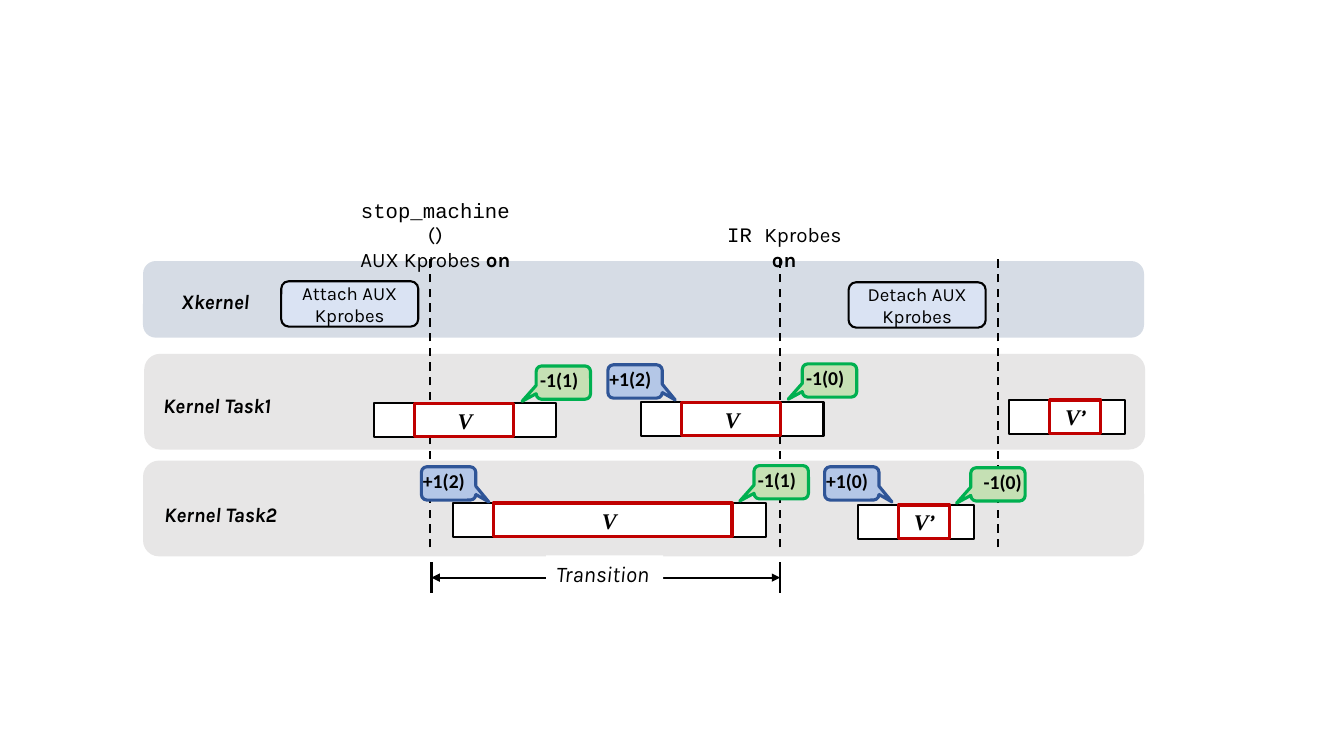
"""Draw the timeline of a kernel transition across two kernel tasks."""
from dataclasses import dataclass

from lxml.etree import SubElement
from pptx import Presentation
from pptx.dml.color import RGBColor
from pptx.enum.dml import MSO_LINE
from pptx.enum.shapes import MSO_CONNECTOR, MSO_SHAPE
from pptx.enum.text import MSO_ANCHOR, PP_ALIGN
from pptx.oxml.ns import qn
from pptx.util import Pt

BLACK, WHITE, RED = "000000", "FFFFFF", "C00000"
GREY, PALE_BLUE, BUTTON_BLUE = "E7E6E6", "D6DCE5", "DAE3F3"

BODY = {"name": "Karla", "size": Pt(14.7)}
BOLD = {**BODY, "bold": True}
CODE = {**BODY, "name": "Courier New"}
TITLE = {**BOLD, "italic": True}
BUTTON = {"name": "Karla", "size": Pt(13.3)}
COUNT = {"name": "Calibri", "size": Pt(14), "bold": True}
VERSION = {"name": "Times New Roman", "size": Pt(16), "bold": True, "italic": True}
PRIME = {**VERSION, "name": "Karla"}
SPAN = {"name": "Karla", "size": Pt(16), "italic": True}

Box = tuple[float, float, float, float]
Paragraphs = list[list[tuple[str, dict]]]


@dataclass
class Lane:
    title: str
    box: Box
    fill: str
    title_box: Box


@dataclass
class Block:
    x: float
    y: float
    width: float
    inner_width: float
    primed: bool = False


@dataclass
class CalloutStyle:
    fill: str
    line: str
    tip: tuple[float, float]
    label_dx: float
    label_width: float


@dataclass
class Callout:
    text: str
    x: float
    y: float
    style: CalloutStyle
    extra_dx: float = 0


ENTER = CalloutStyle("B4C7E7", "2F5597", (0.739, 0.557), -6, 49)
LEAVE = CalloutStyle("C5E0B4", "00B050", (-0.759, 0.561), -4.3, 45.4)

LANES = [
    Lane("Kernel Task2", (102.2, 329, 715, 68.4), GREY, (110.2, 355, 102.2, 25.2)),
    Lane("Kernel Task1", (103, 252.7, 715, 68.4), GREY, (109.4, 277.2, 102.2, 25.2)),
    Lane("Xkernel", (102.2, 186.5, 715, 54.7), PALE_BLUE, (122.4, 203, 67, 25.2)),
]
BUTTONS = [
    ("Attach AUX Kprobes", 200.9, 200.9),
    ("Detach AUX Kprobes", 606.2, 201.6),
]
EVENTS = [307.4, 557.3, 712.8]
BLOCKS = [
    Block(267.1, 288, 130.3, 70.6),
    Block(457.9, 287.3, 130.3, 70.6),
    Block(323.3, 359.3, 223.9, 170.6),
    Block(612.7, 360.7, 82.8, 36.7, True),
    Block(720.7, 285.8, 82.8, 36.7, True),
]
CALLOUTS = [
    Callout("-1(1)", 383, 261.4, LEAVE),
    Callout("+1(2)", 434.2, 260.6, ENTER),
    Callout("-1(0)", 573.1, 259.9, LEAVE),
    Callout("+1(2)", 301, 333.4, ENTER),
    Callout("-1(1)", 538.6, 332.6, LEAVE),
    Callout("+1(0)", 589, 333.4, ENTER),
    Callout("-1(0)", 693.4, 334.1, LEAVE, 6.5),
]


def rgb(value: str) -> RGBColor:
    return RGBColor.from_string(value)


def write(sp, paragraphs: Paragraphs, align=PP_ALIGN.LEFT, anchor=MSO_ANCHOR.TOP, wrap: bool = True) -> None:
    tf = sp.text_frame
    tf.word_wrap = wrap
    tf.vertical_anchor = anchor
    for i, runs in enumerate(paragraphs):
        p = tf.add_paragraph() if i else tf.paragraphs[0]
        p.alignment = align
        for text, fmt in runs:
            r = p.add_run()
            r.text = text
            for key, value in fmt.items():
                setattr(r.font, key, value)
            r.font.color.rgb = rgb(BLACK)


def add_text(s, box: Box, paragraphs: Paragraphs, align=PP_ALIGN.LEFT, wrap: bool = False):
    sp = s.shapes.add_textbox(*map(Pt, box))
    write(sp, paragraphs, align, wrap=wrap)
    return sp


def add_box(s, kind, box: Box, fill: str | None = None, line: str | None = None, weight: float = 1.5):
    sp = s.shapes.add_shape(kind, *map(Pt, box))
    sp.shadow.inherit = False
    if fill:
        sp.fill.solid()
        sp.fill.fore_color.rgb = rgb(fill)
    else:
        sp.fill.background()
    if line:
        sp.line.color.rgb = rgb(line)
        sp.line.width = Pt(weight)
    else:
        sp.line.fill.background()
    return sp


def add_line(s, x1: float, y1: float, x2: float, y2: float, dashed: bool = False, arrows: bool = False) -> None:
    sp = s.shapes.add_connector(MSO_CONNECTOR.STRAIGHT, *map(Pt, (x1, y1, x2, y2)))
    sp.line.color.rgb = rgb(BLACK)
    sp.line.width = Pt(1.5)
    if dashed:
        sp.line.dash_style = MSO_LINE.DASH
    if arrows:
        for end in ("a:headEnd", "a:tailEnd"):
            SubElement(sp.line._get_or_add_ln(), qn(end), type="triangle")
    SubElement(sp._element.spPr, qn("a:effectLst"))


def add_block(s, block: Block) -> None:
    outer = add_box(s, MSO_SHAPE.RECTANGLE, (block.x, block.y, block.width, 24.5), WHITE, BLACK)
    inner = add_box(s, MSO_SHAPE.RECTANGLE, (block.x + 29, block.y, block.inner_width, 23.8), None, RED, 2.25)
    runs = [("V", VERSION)] + ([("’", PRIME)] if block.primed else [])
    write(inner if block.primed else outer, [runs], PP_ALIGN.CENTER, MSO_ANCHOR.MIDDLE)


def add_callout(s, callout: Callout) -> None:
    x, y, style = callout.x, callout.y, callout.style
    sp = add_box(s, MSO_SHAPE.ROUNDED_RECTANGULAR_CALLOUT, (x, y, 38.9, 23.8), style.fill, style.line, 2.25)
    for i, value in enumerate(style.tip):
        sp.adjustments[i] = value
    label_box = (x + style.label_dx + callout.extra_dx, y - 2, style.label_width, 24.5)
    add_text(s, label_box, [[(callout.text, COUNT)]])


def main() -> None:
    prs = Presentation()
    prs.slide_width, prs.slide_height = Pt(960), Pt(540)
    s = prs.slides.add_slide(prs.slide_layouts[6])

    for lane in LANES:
        add_box(s, MSO_SHAPE.ROUNDED_RECTANGLE, lane.box, lane.fill)
        add_text(s, lane.title_box, [[(lane.title, TITLE)]])
    for text, x, y in BUTTONS:
        sp = add_box(s, MSO_SHAPE.ROUNDED_RECTANGLE, (x, y, 97.9, 32.4), BUTTON_BLUE, BLACK)
        write(sp, [[(text, BUTTON)]], PP_ALIGN.CENTER, MSO_ANCHOR.MIDDLE)
    for x in EVENTS:
        add_line(s, x, 391, x, 185, dashed=True)

    stop = [[("stop_machine", CODE), ("()", BODY)], [("AUX Kprobes ", BODY), ("on", BOLD)]]
    add_text(s, (249.8, 137.5, 122.4, 42.5), stop, PP_ALIGN.CENTER, True)
    switch = [[("IR ", CODE), ("Kprobes ", BODY), ("on", BOLD)]]
    add_text(s, (502.6, 154.8, 115.2, 25.2), switch, PP_ALIGN.CENTER, True)

    for block in BLOCKS:
        add_block(s, block)
    for callout in CALLOUTS:
        add_callout(s, callout)

    start, end = 308.2, 557.3
    for x in (start, end):
        add_line(s, x, 423.4, x, 401.8)
    add_line(s, start, 412.6, end, 412.6, arrows=True)
    sp = add_box(s, MSO_SHAPE.RECTANGLE, (390.2, 396.7, 83.5, 26.6), WHITE)
    write(sp, [[("Transition", SPAN)]], wrap=False)

    prs.save("out.pptx")


if __name__ == "__main__":
    main()
